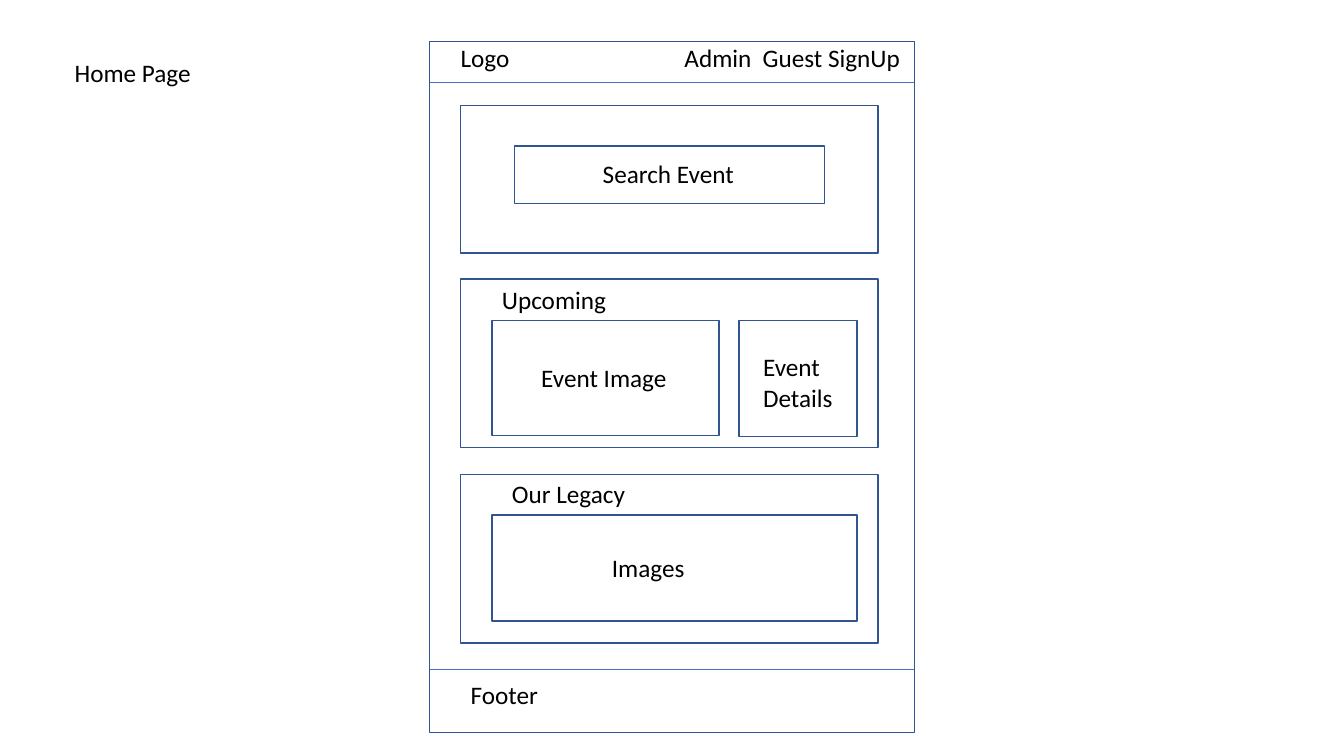
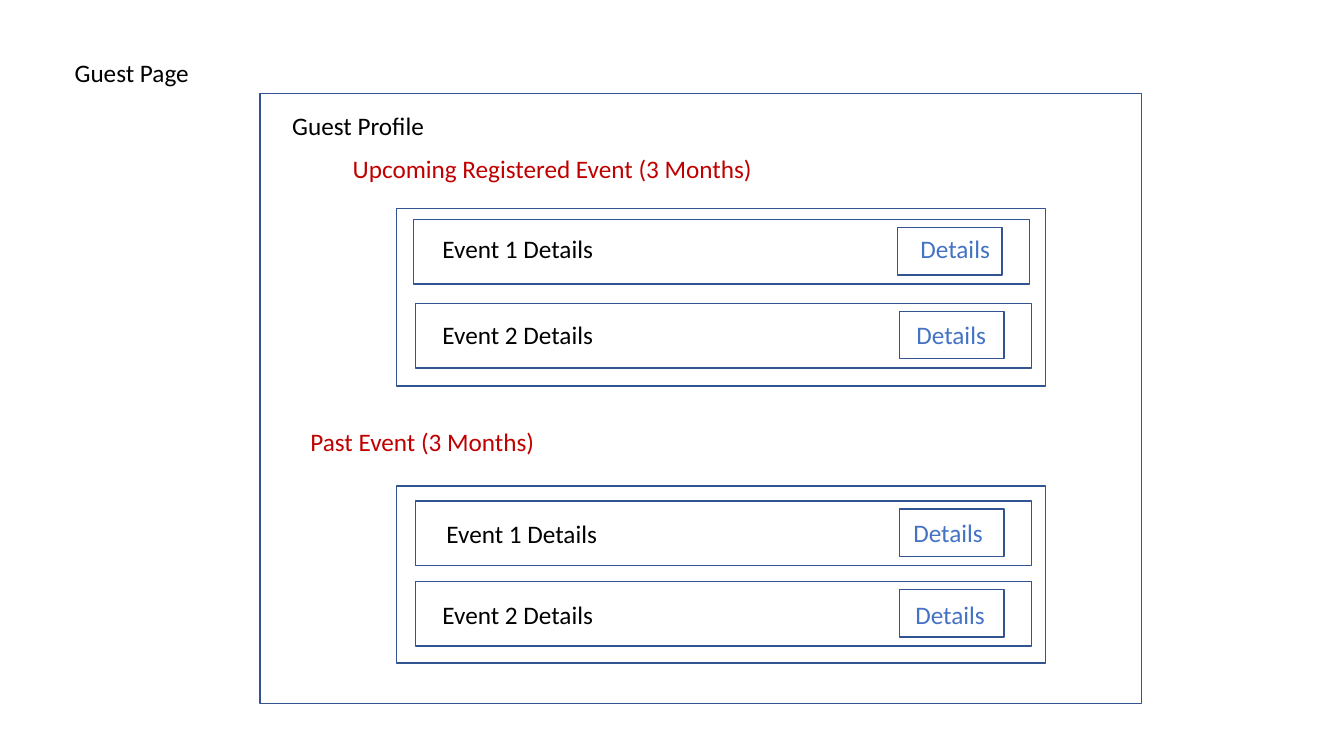
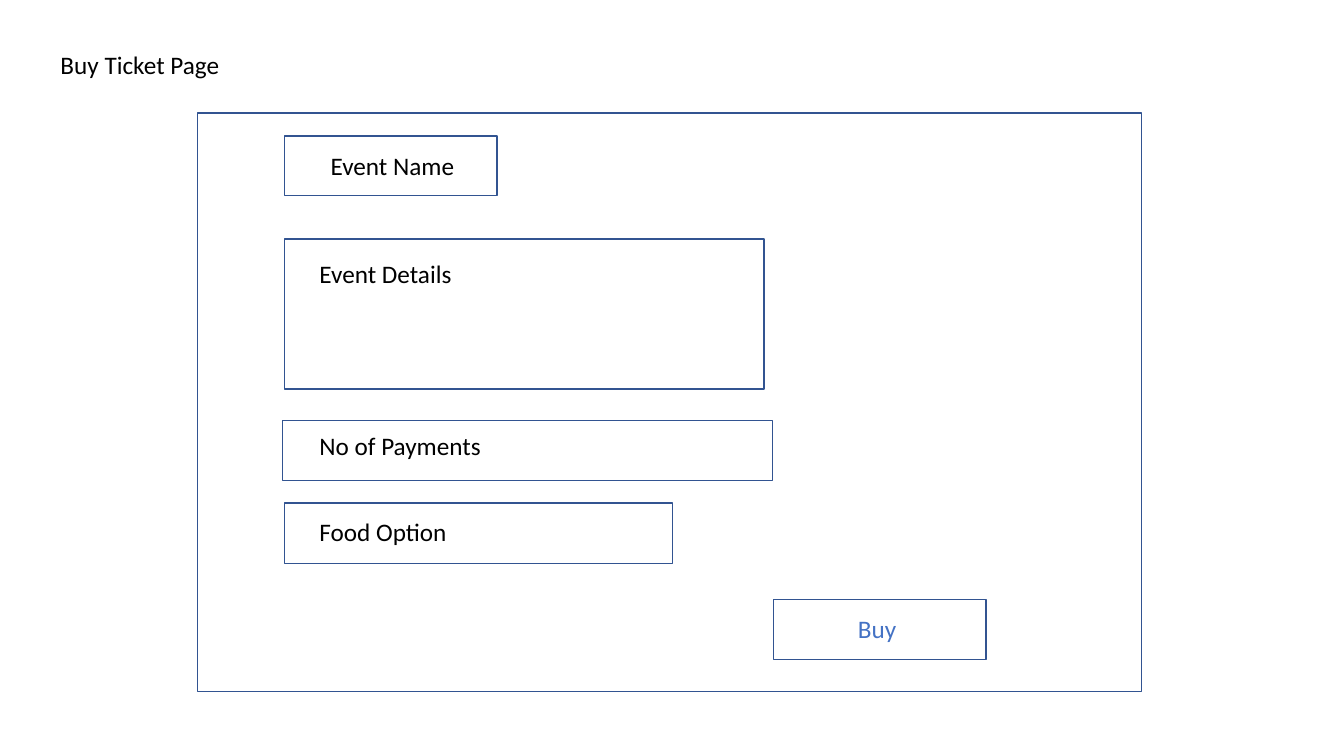
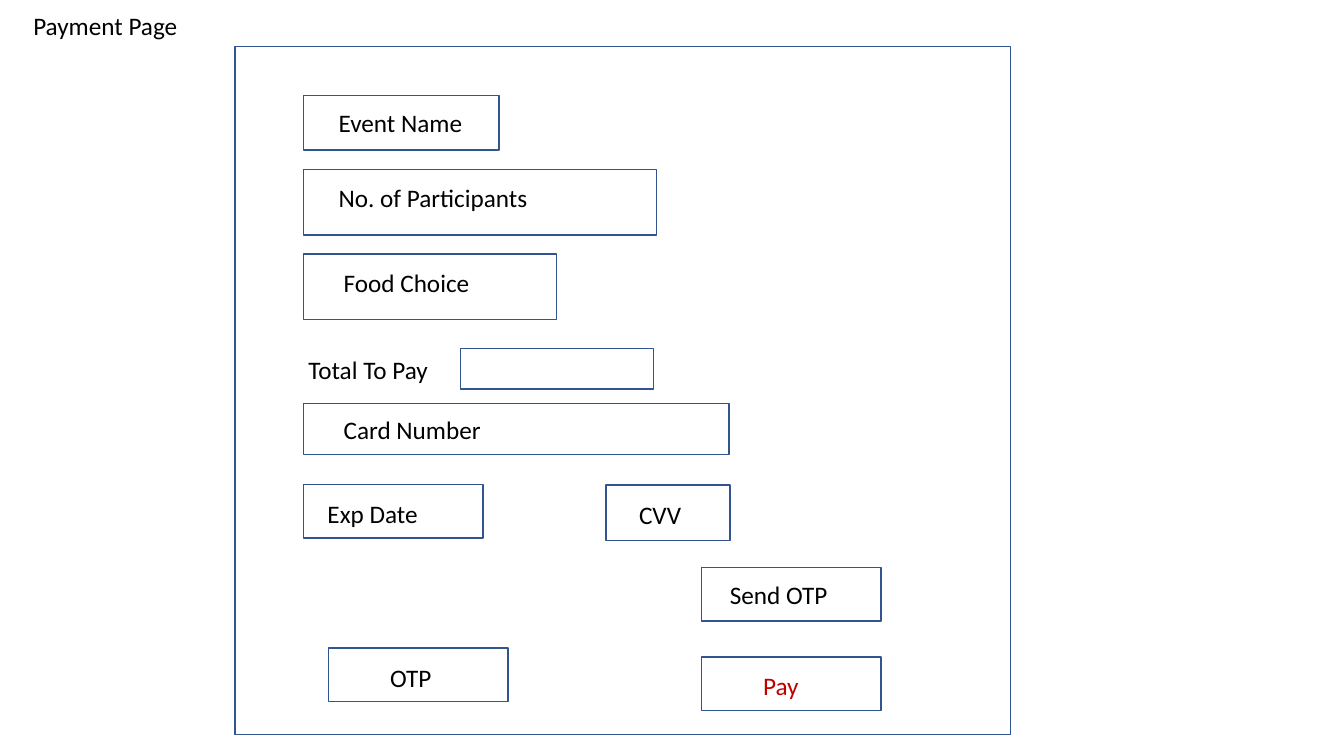
from dataclasses import dataclass

from pptx import Presentation
from pptx import util as u
from pptx.dml.color import RGBColor
from pptx.enum import shapes, text
from pptx.oxml.ns import qn
from lxml import etree


@dataclass(frozen=True)
class Theme:
    """Colours, font and sizes that all slides share."""
    ink: str = "000000"
    paper: str = "FFFFFF"
    edge: str = "325491"
    link: str = "4472C4"
    alert: str = "C00000"
    font: str = "Calibri"
    size: float = 18
    thick: float = 1
    thin: float = 0.5
    high: float = 0.4


@dataclass(frozen=True)
class Box:
    """A region in inches."""
    x: float
    y: float
    w: float
    h: float

    def sub(self, dx, dy, w, h=Theme.high):
        """Return a region placed relative to this one."""
        return Box(self.x + dx, self.y + dy, w, h)

    def dims(self):
        """Return left, top, width and height as lengths."""
        return [u.Inches(v) for v in (self.x, self.y, self.w, self.h)]


T = Theme()
FRAME = {
    "word_wrap": True,
    "auto_size": text.MSO_AUTO_SIZE.SHAPE_TO_FIT_TEXT,
    "vertical_anchor": text.MSO_ANCHOR.TOP,
}
FONT = {"name": T.font, "size": u.Pt(T.size), "bold": False}


def apply(item, vals):
    """Set each attribute of item from a dict."""
    for key, val in vals.items():
        setattr(item, key, val)


def write(shape, words, tint=T.ink):
    """Fill a shape with left-aligned text in the shared style."""
    frame = shape.text_frame
    frame.text = words
    apply(frame, FRAME)
    for para in frame.paragraphs:
        para.alignment = text.PP_ALIGN.LEFT
        apply(para.runs[0].font, FONT)
        para.runs[0].font.color.rgb = RGBColor.from_string(tint)


def label(slide, box, words, tint=T.ink):
    """Add a text label."""
    write(slide.shapes.add_textbox(*box.dims()), words, tint)


def panel(slide, box):
    """Add an outlined white panel and return its box."""
    rect = slide.shapes.add_shape(shapes.MSO_SHAPE.RECTANGLE, *box.dims())
    rect.shadow.inherit = False
    rect.fill.solid()
    rect.fill.fore_color.rgb = RGBColor.from_string(T.paper)
    rect.line.color.rgb = RGBColor.from_string(T.edge)
    rect.line.width = u.Pt(T.thick)
    return box


def field(slide, box, words, spot, tint=T.ink):
    """Add a panel with a label; spot is the label's dx, dy, width."""
    panel(slide, box)
    label(slide, box.sub(*spot), words, tint)


def rule(slide, box, dy):
    """Draw a thin line across the box, dy below its top."""
    left, y, right = (u.Inches(v) for v in (box.x, box.y + dy, box.x + box.w))
    line = slide.shapes.add_connector(
        shapes.MSO_CONNECTOR.STRAIGHT, left, y, right, y)
    line.line.color.rgb = RGBColor.from_string(T.link)
    line.line.width = u.Pt(T.thin)
    etree.SubElement(line.element.spPr, qn("a:effectLst"))


def search(slide, box):
    """Draw the search band."""
    panel(slide, box)
    field(slide, box.sub(0.53, 0.4, 3.08, 0.57), "Search Event",
          (0.78, 0.07, 2.44))


def coming(slide, box):
    """Draw the band for upcoming events."""
    panel(slide, box)
    label(slide, box.sub(0.31, 0, 2.03), "Upcoming")
    field(slide, box.sub(0.31, 0.41, 2.25, 1.14), "Event Image",
          (0.39, 0.37, 1.8))
    field(slide, box.sub(2.76, 0.41, 1.17, 1.15), "Event\nDetails",
          (0.14, 0.26, 1.8, 0.71))


def legacy(slide, box):
    """Draw the band for past work."""
    panel(slide, box)
    label(slide, box.sub(0.41, -0.01, 1.8), "Our Legacy")
    field(slide, box.sub(0.31, 0.4, 3.62, 1.05), "Images", (1.09, 0.32, 1.8))


def home(slide, box):
    """Draw the home page: header, three bands and footer."""
    panel(slide, box)
    for dy in (0.41, 6.23):
        rule(slide, box, dy)
    label(slide, box.sub(0.21, -0.04, 1.4), "Logo")
    label(slide, box.sub(2.43, -0.04, 2.79), "Admin  Guest SignUp")
    label(slide, box.sub(0.31, 6.28, 1.4), "Footer")
    bands = ((search, 0.64, 1.46), (coming, 2.36, 1.67), (legacy, 4.3, 1.67))
    for draw, dy, high in bands:
        draw(slide, box.sub(0.31, dy, 4.14, high))


def events(slide, box, rows):
    """Draw a list of events; rows hold row, name and link offsets."""
    panel(slide, box)
    for num, (row, name, link) in enumerate(rows, 1):
        line = box.sub(*row, 6.11, 0.64)
        field(slide, line, f"Event {num} Details", (*name, 2.86))
        field(slide, line.sub(4.8, 0.08, 1.04, 0.47), "Details",
              (*link, 0.91), T.link)


def guest(slide, box):
    """Draw the guest page: profile and two lists of events."""
    panel(slide, box)
    label(slide, box.sub(0.22, 0.12, 2.62), "Guest Profile")
    lists = (
        ("Upcoming Registered Event (3 Months)", (0.82, 0.54), 1.14,
         (((0.17, 0.11), (0.19, 0.09), (0.13, 0.01)),
          ((0.19, 0.94), (0.17, 0.11), (0.07, 0.03)))),
        ("Past Event (3 Months)", (0.4, 3.25), 3.89,
         (((0.19, 0.15), (0.21, 0.12), (0.04, 0.03)),
          ((0.19, 0.95), (0.17, 0.13), (0.06, 0.05)))),
    )
    for head, spot, dy, rows in lists:
        label(slide, box.sub(*spot, 6.98), head, T.alert)
        events(slide, box.sub(1.35, dy, 6.44, 1.76), rows)


def form(slide, box, fields):
    """Draw a form: a panel with fields placed inside it."""
    panel(slide, box)
    for words, place, spot, tint in fields:
        field(slide, box.sub(*place), words, spot, tint)


def buy(slide, box):
    """Draw the ticket form."""
    form(slide, box, (
        ("Event Name", (0.86, 0.23, 2.11, 0.59), (0.36, 0.09, 1.65), T.ink),
        ("Event Details", (0.86, 1.25, 4.76, 1.49), (0.25, 0.14, 1.6), T.ink),
        ("No of Payments", (0.84, 3.05, 4.86, 0.6), (0.27, 0.05, 2.37), T.ink),
        ("Food Option", (0.86, 3.87, 3.85, 0.6), (0.25, 0.08, 1.6), T.ink),
        ("Buy", (5.71, 4.83, 2.11, 0.59), (0.74, 0.09, 1.65), T.link),
    ))


def pay(slide, box):
    """Draw the payment form."""
    form(slide, box, (
        ("Event Name", (0.68, 0.49, 1.94, 0.54), (0.25, 0.07, 1.5), T.ink),
        ("No. of Participants", (0.68, 1.22, 3.5, 0.65), (0.25, 0.08, 2.97),
         T.ink),
        ("Food Choice", (0.68, 2.06, 2.51, 0.65), (0.3, 0.08, 2.22), T.ink),
        ("Total To Pay", (2.24, 3, 1.91, 0.4), (-1.61, 0.01, 3.1), T.ink),
        ("Card Number", (0.68, 3.54, 4.22, 0.51), (0.3, 0.06, 2.54), T.ink),
        ("Exp Date", (0.68, 4.35, 1.78, 0.53), (0.14, 0.08, 2.54), T.ink),
        ("CVV", (3.68, 4.35, 1.23, 0.55), (0.23, 0.09, 2.54), T.ink),
        ("Send OTP", (4.63, 5.17, 1.78, 0.53), (0.18, 0.07, 2.54), T.ink),
        ("OTP", (0.93, 5.97, 1.78, 0.53), (0.51, 0.09, 2.54), T.ink),
        ("Pay", (4.63, 6.06, 1.78, 0.53), (0.51, 0.08, 2.54), T.alert),
    ))


def title(slide, box, words):
    """Move and format the title placeholder."""
    head = slide.shapes.title
    apply(head, dict(zip(("left", "top", "width", "height"), box.dims())))
    write(head, words)


def main():
    """Build and save the deck."""
    deck = Presentation()
    apply(deck, {"slide_width": u.Inches(13.33),
                 "slide_height": u.Inches(7.5)})
    pages = (
        ("Home Page", (0.64, 0.52, 2.6), home, (4.26, 0.41, 4.81, 6.86)),
        ("Guest Page", (0.64, 0.52, 2.6), guest, (2.58, 0.93, 8.74, 6.05)),
        ("Buy Ticket Page", (0.5, 0.44, 3.37), buy, (1.96, 1.12, 9.36, 5.74)),
        ("Payment Page", (0.23, 0.05, 1.63), pay, (2.33, 0.46, 7.69, 6.83)),
    )
    only = deck.slide_layouts.get_by_name("Title Only")
    for words, spot, draw, place in pages:
        slide = deck.slides.add_slide(only)
        title(slide, Box(*spot, T.high), words)
        draw(slide, Box(*place))
    deck.save("out.pptx")


main()
